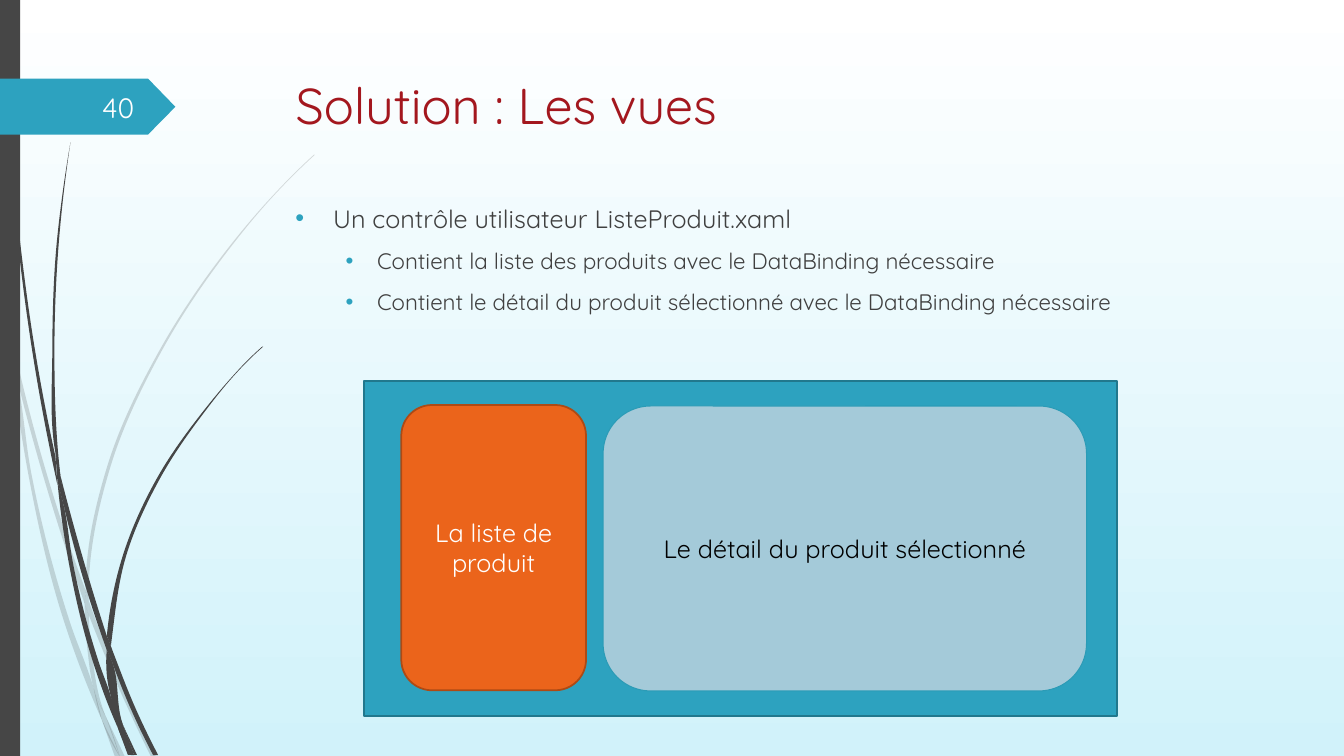
from dataclasses import dataclass
from typing import NamedTuple

from lxml import etree
from pptx import Presentation
from pptx.dml.color import RGBColor
from pptx.enum.shapes import MSO_SHAPE
from pptx.enum.text import MSO_ANCHOR, PP_ALIGN
from pptx.oxml.ns import qn
from pptx.util import Pt

RECT, ROUND = MSO_SHAPE.RECTANGLE, MSO_SHAPE.ROUNDED_RECTANGLE
TOP, MIDDLE = MSO_ANCHOR.TOP, MSO_ANCHOR.MIDDLE
LEFT, CENTER, RIGHT = PP_ALIGN.LEFT, PP_ALIGN.CENTER, PP_ALIGN.RIGHT


@dataclass(frozen=True)
class Theme:
    font: str = "Quicksand"
    title_size: float = 36
    number_size: float = 20
    text_size: float = 18
    detail_size: float = 16
    title: str = "A3171E"
    text: str = "404040"
    white: str = "FFFFFF"
    number: str = "FEFFFF"
    black: str = "000000"
    sky: str = "D1F2FA"
    dark: str = "464646"
    teal: str = "2DA2BF"
    teal_line: str = "21788D"
    orange: str = "EB641B"
    orange_line: str = "AE4A14"
    pale: str = "A4CAD9"
    pale_line: str = "2B9BB6"


THEME = Theme()


class Box(NamedTuple):
    x: float
    y: float
    w: float
    h: float


class Panel(NamedTuple):
    box: Box
    fill: str
    line: str = ""
    weight: float = 0
    label: str = ""
    color: str = THEME.white
    kind: int = ROUND


class Bullet(NamedTuple):
    text: str
    size: float
    margin: float
    hang: float
    level: int = 0


class Blade(NamedTuple):
    """A piece of grass between two curved edges, both given from top to bottom."""
    near: list
    far: list


FAINT_BLADES = [
    Blade([(0, 203), (6.5, 231.8), (7.9, 252)], [(0, 215.3), (7.2, 247.7), (7.9, 252)]),
    Blade([(12.2, 270.7), (41.8, 375.8), (60.5, 431.3)],
          [(10.1, 248.4), (44.6, 374.4), (61.2, 421.9)]),
    Blade([(63.4, 439.2), (88.6, 499.7), (108, 540.7)],
          [(63.4, 429.1), (66.2, 437), (91.4, 498.2), (111.6, 540.7)]),
    Blade([(75.6, 511.9), (85.7, 540.7)], [(75.6, 511.9), (89.3, 540.7)]),
    Blade([(7.9, 252), (20.2, 338.4), (46.8, 447.1), (66.2, 499), (72.7, 514.1)],
          [(7.9, 252), (12.2, 270.7), (22.3, 337.7), (50.4, 445.7), (67, 491.8), (72.7, 514.1)]),
    Blade([(60.5, 431.3), (62.6, 465.1), (67, 491.8), (69.1, 498.2), (75.6, 511.9)],
          [(63.4, 439.2), (65.5, 465.1), (74.2, 508.3), (75.6, 511.9)]),
    Blade([(224.6, 110.2), (208.1, 126), (193, 141.8), (164.2, 175.7), (113.8, 250.6),
           (77, 331.9), (61.2, 420.5), (61.2, 421.9)],
          [(224.6, 110.9), (208.8, 126), (193, 142.6), (164.9, 176.4), (115.2, 251.3),
           (79.2, 332.6), (63.4, 420.5), (63.4, 429.1)]),
    Blade([(72.7, 514.1), (82.1, 540.7)], [(72.7, 514.1), (85.7, 540.7)]),
    Blade([(61.2, 421.9), (60.5, 431.3)], [(63.4, 429.1), (63.4, 439.2)]),
    Blade([(67, 491.8), (72.7, 514.1), (85.7, 540.7)],
          [(67, 491.8), (69.1, 498.2), (75.6, 511.9), (85.7, 540.7)]),
]

DARK_BLADES = [
    Blade([(2.2, 0), (2.9, 34.6), (5, 79.2), (12.2, 167.8), (23.8, 255.6), (41, 346.3)],
          [(2.9, 0), (3.6, 34.6), (5.8, 78.5), (13.7, 167), (25.9, 255.6), (39.6, 326.2)]),
    Blade([(46.1, 363.6), (63.4, 426.2), (76.3, 464.4)],
          [(43.2, 339.8), (67, 424.8), (76.3, 454.3)]),
    Blade([(79.9, 472.3), (95, 509.8), (109.4, 539.3)],
          [(79.2, 461.5), (81.4, 467.3), (97.9, 508.3), (113, 539.3)]),
    Blade([(41, 343.4), (49, 401), (67, 474.5), (79.9, 509.8), (84.2, 519.8)],
          [(41, 343.4), (46.1, 363.6), (51.8, 400.3), (70.6, 473), (79.2, 497.5), (84.2, 519.8)]),
    Blade([(50.4, 101.5), (44.6, 139), (40.3, 176.4), (37.4, 251.3), (39.6, 323.3),
           (43.2, 339.8)],
          [(50.4, 101.5), (45.4, 139), (41.8, 176.4), (38.9, 251.3), (41.8, 326.2),
           (43.2, 339.8)]),
    Blade([(87.8, 517.7), (95.8, 539.3)], [(87.8, 517.7), (97.9, 539.3)]),
    Blade([(39.6, 323.3), (41, 343.4)], [(39.6, 323.3), (43.2, 339.8), (46.1, 363.6)]),
    Blade([(187.2, 247.7), (176.4, 257.8), (166.3, 268.6), (146.9, 291.6), (112.3, 341.3),
           (87.8, 396.7), (76.3, 454.3)],
          [(187.9, 247.7), (176.4, 258.5), (166.3, 269.3), (147.6, 292.3), (113.8, 342.7),
           (90, 397.4), (79.9, 455.8), (79.2, 461.5)]),
    Blade([(84.2, 519.8), (91.4, 539.3)], [(84.2, 519.8), (94.3, 539.3)]),
    Blade([(76.3, 464.4), (79.2, 497.5), (87.8, 517.7)],
          [(76.3, 464.4), (79.9, 472.3), (87.1, 515.5), (87.8, 517.7)]),
    Blade([(76.3, 454.3), (76.3, 464.4)], [(76.3, 454.3), (79.2, 461.5), (79.9, 472.3)]),
    Blade([(79.2, 497.5), (84.2, 519.8), (93.6, 539.3)],
          [(79.2, 497.5), (87.8, 517.7), (95.8, 539.3)]),
]

NUMBER_TAG = [(0, 56.2), (105.8, 56.2), (125.3, 76.3), (105.8, 96.1), (0, 96.1)]
SIDEBAR = Panel(Box(0, 0, 14.4, 540), THEME.dark, kind=RECT)
VIEW_PANELS = [
    Panel(Box(260, 272, 538, 239.3), THEME.teal, THEME.teal_line, 1.25, kind=RECT),
    Panel(Box(286.6, 289.3, 132, 203.8), THEME.orange, THEME.orange_line, 1.25,
          "La liste de produit"),
    Panel(Box(430.8, 290, 345.3, 203.5), THEME.pale, THEME.pale_line, 0.75,
          "Le détail du produit sélectionné", THEME.black),
]
BULLETS = [
    Bullet("Un contrôle utilisateur ListeProduit.xaml", THEME.text_size, 27, 27),
    Bullet("Contient la liste des produits avec le DataBinding nécessaire",
           THEME.detail_size, 58.5, 22.5, 1),
    Bullet("Contient le détail du produit sélectionné avec le DataBinding nécessaire",
           THEME.detail_size, 58.5, 22.5, 1),
]


def rgb(color: str) -> RGBColor:
    return RGBColor.from_string(color)


def curve(points: list) -> list:
    """Bezier points, two controls and an end per segment, through the given points."""
    knots = [complex(*point) for point in points]
    chords = [b - a for a, b in zip(knots, knots[1:])]
    units = [chord / abs(chord) for chord in chords]
    inner = [(units[i] * abs(b) + units[i + 1] * abs(a)) / (abs(a) + abs(b))
             for i, (a, b) in enumerate(zip(chords, chords[1:]))]
    first, last = (2 * units[0] - inner[0], 2 * units[-1] - inner[-1]) if inner else units * 2
    slopes = [first, *inner, last]
    bezier = [knots[0]]
    for i, chord in enumerate(chords):
        reach = abs(chord) / 3
        bezier += [knots[i] + slopes[i] * reach, knots[i + 1] - slopes[i + 1] * reach, knots[i + 1]]
    return [(z.real, z.imag) for z in bezier]


def add_outline(s, points: list, color: str):
    start, *rest = [(Pt(x), Pt(y)) for x, y in points]
    builder = s.shapes.build_freeform(*start)
    builder.add_line_segments(rest, close=True)
    sp = builder.convert_to_shape()
    sp.shadow.inherit = False
    sp.fill.solid()
    sp.fill.fore_color.rgb = rgb(color)
    sp.line.fill.background()
    return sp


def add_blade(s, blade: Blade, opacity: int) -> None:
    near, far = curve(blade.near), curve(blade.far)[::-1]
    bridge = [near[-1], far[0], far[0]] if near[-1] != far[0] else []
    sp = add_outline(s, near + bridge + far[1:], THEME.dark)
    lines = list(sp._element.iter(qn("a:lnTo")))
    for first, second, end in zip(lines[::3], lines[1::3], lines[2::3]):
        first.tag = qn("a:cubicBezTo")
        for line in (second, end):
            first.append(line[0])
            line.getparent().remove(line)
    if opacity < 100:
        fill = sp._element.spPr.find(qn("a:solidFill"))
        etree.SubElement(fill[0], qn("a:alpha"), val=str(opacity * 1000))


def style(p, size: float, color: str, align: int = LEFT) -> None:
    p.alignment = align
    for r in p.runs:
        r.font.name, r.font.size = THEME.font, Pt(size)
        r.font.color.rgb = rgb(color)


def add_panel(s, panel: Panel) -> None:
    sp = s.shapes.add_shape(panel.kind, *map(Pt, panel.box))
    sp.shadow.inherit = False
    sp.fill.solid()
    sp.fill.fore_color.rgb = rgb(panel.fill)
    if panel.line:
        sp.line.color.rgb = rgb(panel.line)
        sp.line.width = Pt(panel.weight)
    else:
        sp.line.fill.background()
    if panel.label:
        sp.text_frame.text = panel.label
        sp.text_frame.vertical_anchor = MIDDLE
        style(sp.text_frame.paragraphs[0], THEME.text_size, panel.color, CENTER)


def add_text(s, box: Box, text: str, size: float, color: str,
             align: int = LEFT, anchor: int = TOP):
    tf = s.shapes.add_textbox(*map(Pt, box)).text_frame
    tf.word_wrap, tf.vertical_anchor = True, anchor
    tf.text = text
    for p in tf.paragraphs:
        style(p, size, color, align)
    return tf


def add_bullets(s, box: Box, bullets: list) -> None:
    tf = add_text(s, box, "\n".join(b.text for b in bullets), THEME.text_size, THEME.text)
    for p, bullet in zip(tf.paragraphs, bullets):
        style(p, bullet.size, THEME.text)
        p.level, p.space_before = bullet.level, Pt(10)
        pPr = p._p.get_or_add_pPr()
        pPr.set("marL", str(Pt(bullet.margin)))
        pPr.set("indent", str(-Pt(bullet.hang)))
        color = etree.SubElement(pPr, qn("a:buClr"))
        etree.SubElement(color, qn("a:srgbClr"), val=THEME.teal)
        etree.SubElement(pPr, qn("a:buFont"), typeface="Arial")
        etree.SubElement(pPr, qn("a:buChar"), char="•")


def main() -> None:
    prs = Presentation()
    prs.slide_width, prs.slide_height = Pt(960), Pt(540)
    s = prs.slides.add_slide(prs.slide_layouts[6])
    fill = s.background.fill
    fill.gradient()
    fill.gradient_angle = 270
    for stop, color in zip(fill.gradient_stops, (THEME.white, THEME.sky)):
        stop.color.rgb = rgb(color)
    for blades, opacity in ((FAINT_BLADES, 20), (DARK_BLADES, 100)):
        for blade in blades:
            add_blade(s, blade, opacity)
    add_panel(s, SIDEBAR)
    add_outline(s, NUMBER_TAG, THEME.teal)
    add_text(s, Box(204, 49.4, 702, 100.8), "Solution : Les vues", THEME.title_size, THEME.title)
    add_bullets(s, Box(203.8, 141.4, 702, 297.4), BULLETS)
    add_text(s, Box(41.8, 62, 61.2, 28.8), "40", THEME.number_size, THEME.number, RIGHT, MIDDLE)
    for panel in VIEW_PANELS:
        add_panel(s, panel)
    prs.save("out.pptx")


if __name__ == "__main__":
    main()
